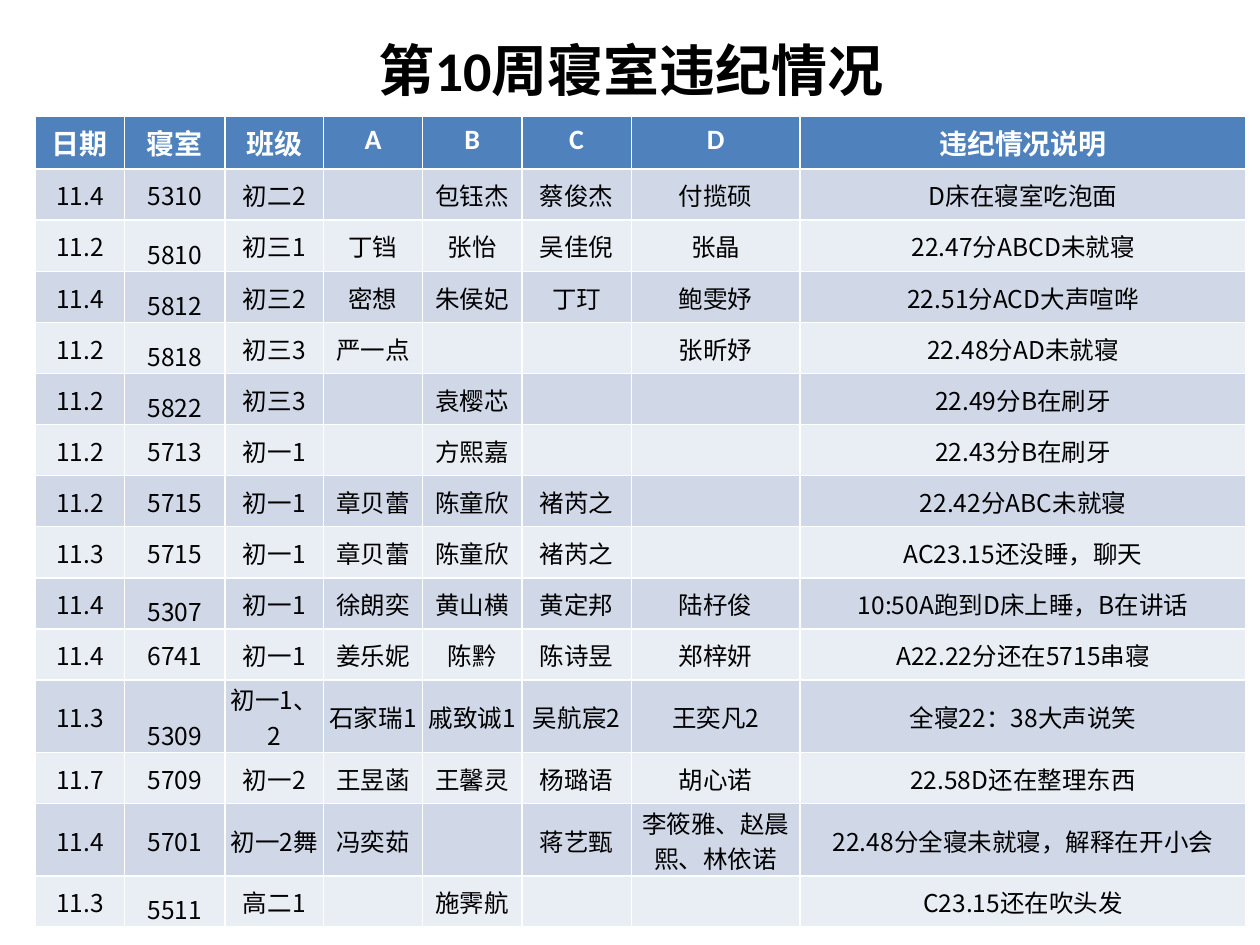
from dataclasses import dataclass

from pptx import Presentation
from pptx.dml.color import RGBColor
from pptx.enum.text import MSO_ANCHOR, PP_ALIGN
from pptx.util import Cm, Pt


@dataclass(frozen=True)
class Theme:
    heading_font: str = "Calibri"
    body_font: str = "Noto Sans CJK SC"
    title_size: int = 32
    header_size: int = 16
    body_size: int = 14
    text: str = "000000"
    header_text: str = "FFFFFF"
    header_fill: str = "4F81BD"
    bands: tuple[str, str] = ("D0D8E8", "E9EDF4")


@dataclass(frozen=True)
class Violation:
    date: str
    room: str
    school_class: str
    beds: tuple[str, str, str, str]
    note: str
    room_anchor: MSO_ANCHOR = MSO_ANCHOR.MIDDLE


THEME = Theme()
LOW = MSO_ANCHOR.BOTTOM
ROW_HEIGHT = Cm(1.03)
COLUMN_WIDTHS = [Cm(w) for w in (1.8, 2.03, 1.98, 2, 2, 2.21, 3.4, 8.99)]
HEADERS = ("日期", "寝室", "班级", "A", "B", "C", "D", "违纪情况说明")
VIOLATIONS = [
    Violation("11.4", "5310", "初二2", ("", "包钰杰", "蔡俊杰", "付揽硕"), "D床在寝室吃泡面"),
    Violation("11.2", "5810", "初三1", ("丁铛", "张怡", "吴佳倪", "张晶"), "22.47分ABCD未就寝", LOW),
    Violation("11.4", "5812", "初三2", ("密想", "朱侯妃", "丁玎", "鲍雯妤"), "22.51分ACD大声喧哗", LOW),
    Violation("11.2", "5818", "初三3", ("严一点", "", "", "张昕妤"), "22.48分AD未就寝", LOW),
    Violation("11.2", "5822", "初三3", ("", "袁樱芯", "", ""), "22.49分B在刷牙", LOW),
    Violation("11.2", "5713", "初一1", ("", "方熙嘉", "", ""), "22.43分B在刷牙"),
    Violation("11.2", "5715", "初一1", ("章贝蕾", "陈童欣", "褚芮之", ""), "22.42分ABC未就寝"),
    Violation("11.3", "5715", "初一1", ("章贝蕾", "陈童欣", "褚芮之", ""), "AC23.15还没睡，聊天"),
    Violation("11.4", "5307", "初一1", ("徐朗奕", "黄山横", "黄定邦", "陆杍俊"),
              "10:50A跑到D床上睡，B在讲话", LOW),
    Violation("11.4", "6741", "初一1", ("姜乐妮", "陈黔", "陈诗昱", "郑梓妍"), "A22.22分还在5715串寝"),
    Violation("11.3", "5309", "初一1、2", ("石家瑞1", "戚致诚1", "吴航宸2", "王奕凡2"),
              "全寝22：38大声说笑", LOW),
    Violation("11.7", "5709", "初一2", ("王昱菡", "王馨灵", "杨璐语", "胡心诺"), "22.58D还在整理东西"),
    Violation("11.4", "5701", "初一2舞", ("冯奕茹", "", "蒋艺甄", "李筱雅、赵晨熙、林依诺"),
              "22.48分全寝未就寝，解释在开小会"),
    Violation("11.3", "5511", "高二1", ("", "施霁航", "", ""), "C23.15还在吹头发", LOW),
]


def style_paragraph(paragraph, font_name: str, size: int, color: str, bold: bool) -> None:
    paragraph.alignment = PP_ALIGN.CENTER
    font = paragraph.font
    font.name, font.size, font.bold = font_name, Pt(size), bold
    font.color.rgb = RGBColor.from_string(color)


def fill_cell(cell, text: str, fill: str) -> None:
    cell.text = text
    cell.fill.solid()
    cell.fill.fore_color.rgb = RGBColor.from_string(fill)


def draw_header(cell, text: str) -> None:
    fill_cell(cell, text, THEME.header_fill)
    style_paragraph(cell.text_frame.paragraphs[0], THEME.heading_font,
                    THEME.header_size, THEME.header_text, True)


def draw_entry(cell, text: str, fill: str) -> None:
    fill_cell(cell, text, fill)
    cell.vertical_anchor = MSO_ANCHOR.MIDDLE
    cell.margin_left = cell.margin_top = cell.margin_right = Cm(0.02)
    cell.margin_bottom = Cm(0)
    style_paragraph(cell.text_frame.paragraphs[0], THEME.body_font,
                    THEME.body_size, THEME.text, False)


def draw_title(slide, text: str) -> None:
    title = slide.shapes.title
    title.left, title.top, title.width, title.height = Cm(1.3), Cm(0.05), Cm(22.86), Cm(2.67)
    title.text_frame.text = text
    title.text_frame.vertical_anchor = MSO_ANCHOR.MIDDLE
    style_paragraph(title.text_frame.paragraphs[0], THEME.heading_font,
                    THEME.title_size, THEME.text, True)


def draw_violations(slide, violations: list[Violation]) -> None:
    row_count = len(violations) + 1
    table = slide.shapes.add_table(row_count, len(HEADERS), Cm(0.71), Cm(2.34),
                                   sum(COLUMN_WIDTHS), ROW_HEIGHT * row_count).table
    for column, width in zip(table.columns, COLUMN_WIDTHS):
        column.width = width
    for column, header in enumerate(HEADERS):
        draw_header(table.cell(0, column), header)
    for row, violation in enumerate(violations, start=1):
        band = THEME.bands[(row - 1) % 2]
        entries = (violation.date, violation.room, violation.school_class,
                   *violation.beds, violation.note)
        for column, entry in enumerate(entries):
            draw_entry(table.cell(row, column), entry, band)
        table.cell(row, 1).vertical_anchor = violation.room_anchor


def main() -> None:
    presentation = Presentation()
    presentation.slide_width, presentation.slide_height = Cm(25.4), Cm(19.05)
    slide = presentation.slides.add_slide(presentation.slide_layouts[5])
    draw_title(slide, "第10周寝室违纪情况")
    draw_violations(slide, VIOLATIONS)
    presentation.save("out.pptx")


if __name__ == "__main__":
    main()
